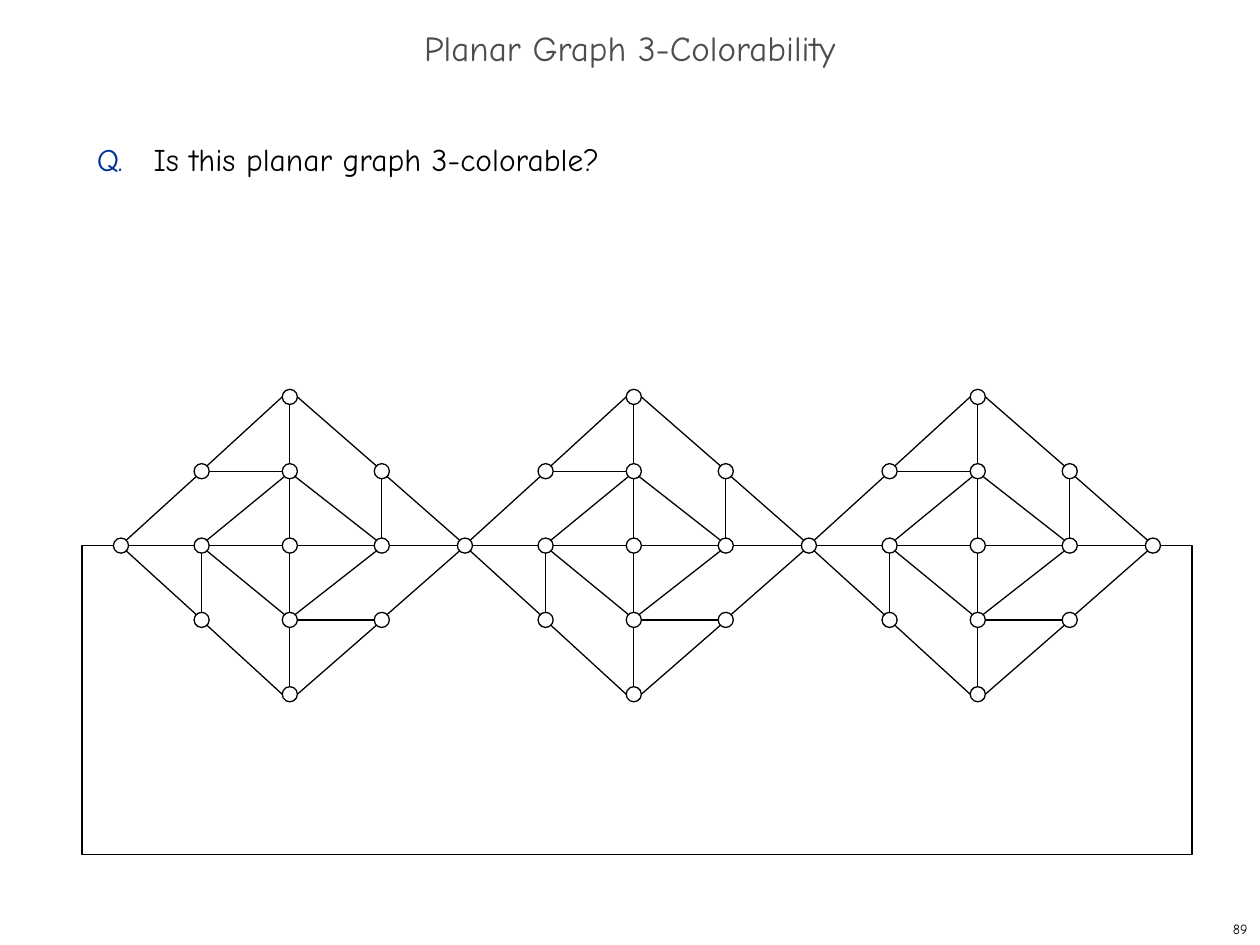
from lxml import etree
from pptx import Presentation
from pptx import util as u
from pptx.dml.color import RGBColor
from pptx.enum import shapes, text
from pptx.oxml.ns import qn

FONT = "Comic Neue"
BLACK, GREY, BLUE = "000000", "4D4D4D", "003399"
LINE_WIDTH = 0.75

# Grid of one diamond gadget: node centres, in inches
COLUMNS = [0.96, 1.6, 2.3, 3.03, 3.69]
ROW_TOP, ROW_PITCH = 3.15, 0.59
ROWS = [ROW_TOP + ROW_PITCH * i for i in range(5)]
GADGET_PITCH = 2.73
GADGETS = 3
RADIUS = 0.06

# Nodes are (column, row); each path is a chain of edges
NODES = [(2, 0), (1, 1), (2, 1), (3, 1), (0, 2), (1, 2), (2, 2), (3, 2),
         (1, 3), (2, 3), (3, 3), (2, 4)]
PATHS = [
    [(0, 2), (1, 2), (2, 2), (3, 2), (4, 2)],
    [(2, 0), (2, 1), (2, 2), (2, 3), (2, 4)],
    [(2, 0), (1, 1), (0, 2), (1, 3), (2, 4), (3, 3), (4, 2), (3, 1), (2, 0)],
    [(2, 1), (1, 2), (2, 3), (3, 2), (2, 1)],
    [(1, 1), (2, 1)], [(2, 3), (3, 3)],
    [(1, 2), (1, 3)], [(3, 1), (3, 2)],
]


def color(value):
    return RGBColor.from_string(value)


def write(tf, runs, size, align=text.PP_ALIGN.LEFT, anchor=text.MSO_ANCHOR.TOP,
          spacing=1.0, wrap=True, hanging=0):
    """Fill a text frame with one paragraph of (text, colour) runs."""
    tf.word_wrap = wrap
    tf.auto_size = text.MSO_AUTO_SIZE.NONE
    tf.vertical_anchor = anchor
    p = tf.paragraphs[0]
    p.alignment = align
    p.line_spacing = spacing
    if hanging:
        indent = u.Inches(hanging)
        ppr = p._p.get_or_add_pPr()
        ppr.set("marL", str(indent))
        ppr.set("indent", str(-indent))
        tabs = etree.SubElement(ppr, qn("a:tabLst"))
        etree.SubElement(tabs, qn("a:tab"), pos=str(indent), algn="l")
    for words, shade in runs:
        r = p.add_run()
        r.text = words
        r.font.name = FONT
        r.font.size = u.Pt(size)
        r.font.bold = False
        r.font.color.rgb = color(shade)


def add_text(s, left, top, width, height, runs, size, **style):
    box = s.shapes.add_textbox(*map(u.Inches, (left, top, width, height)))
    write(box.text_frame, runs, size, **style)


def outline(sp):
    sp.line.color.rgb = color(BLACK)
    sp.line.width = u.Pt(LINE_WIDTH)


def center(node, gadget):
    return COLUMNS[node[0]] + gadget * GADGET_PITCH, ROWS[node[1]]


def add_node(s, node, gadget):
    x, y = center(node, gadget)
    sp = s.shapes.add_shape(shapes.MSO_SHAPE.OVAL, u.Inches(x - RADIUS),
                            u.Inches(y - RADIUS), u.Inches(2 * RADIUS),
                            u.Inches(2 * RADIUS))
    sp.shadow.inherit = False
    sp.fill.background()
    outline(sp)


def edge_end(node, other, gadget):
    """Point on the node's rim where the edge towards other starts."""
    x, y = center(node, gadget)
    dx = (other[0] > node[0]) - (other[0] < node[0])
    dy = (other[1] > node[1]) - (other[1] < node[1])
    if dx and dy:
        if node[1] in (0, 4):    # tips: edges leave from the sides
            dy = 0
        else:                    # elsewhere: from the 45 degree points
            dx, dy = dx * 0.71, dy * 0.71
    return u.Inches(x + dx * RADIUS), u.Inches(y + dy * RADIUS)


def add_edge(s, start, end, gadget):
    line = s.shapes.add_connector(shapes.MSO_CONNECTOR.STRAIGHT,
                                  *edge_end(start, end, gadget),
                                  *edge_end(end, start, gadget))
    outline(line)
    etree.SubElement(line._element.spPr, qn("a:effectLst"))


def add_outer_edge(s):
    """Edge that runs below the graph and joins its two ends."""
    y = ROWS[2]
    first = COLUMNS[0] - RADIUS
    last = COLUMNS[4] + (GADGETS - 1) * GADGET_PITCH + RADIUS
    left, right, bottom = first - 0.25, last + 0.25, 6.78
    start, *corners = [
        (u.Inches(px), u.Inches(py))
        for px, py in [(last, y), (right, y), (right, bottom),
                       (left, bottom), (left, y), (first, y)]]
    builder = s.shapes.build_freeform(*start)
    builder.add_line_segments(corners, close=False)
    sp = builder.convert_to_shape()
    sp.shadow.inherit = False
    sp.fill.background()
    outline(sp)


def add_graph(s):
    for gadget in range(GADGETS):
        for path in PATHS:
            for start, end in zip(path, path[1:]):
                add_edge(s, start, end, gadget)
        for node in NODES:
            add_node(s, node, gadget)
    add_node(s, (4, 2), GADGETS - 1)
    add_outer_edge(s)


def main():
    prs = Presentation()
    prs.slide_width, prs.slide_height = u.Inches(10), u.Inches(7.5)
    s = prs.slides.add_slide(prs.slide_layouts[5])

    # Title
    title = s.shapes.title
    title.left, title.top = 0, u.Inches(0.17)
    title.width, title.height = prs.slide_width, u.Inches(0.5)
    write(title.text_frame, [("Planar Graph 3-Colorability", GREY)], 20,
          align=text.PP_ALIGN.CENTER, anchor=text.MSO_ANCHOR.MIDDLE,
          spacing=0.7)

    # Question
    add_text(s, 0.67, 1, 8.58, 5.92,
             [("Q.", BLUE), ("\tIs this planar graph 3-colorable?", BLACK)],
             18, spacing=u.Pt(26), hanging=0.45)

    add_graph(s)

    # Page number
    add_text(s, 7.92, 7.25, 2.08, 0.25, [("89", BLACK)], 8,
             align=text.PP_ALIGN.RIGHT, anchor=text.MSO_ANCHOR.MIDDLE,
             wrap=False)
    prs.save("out.pptx")


if __name__ == "__main__":
    main()
